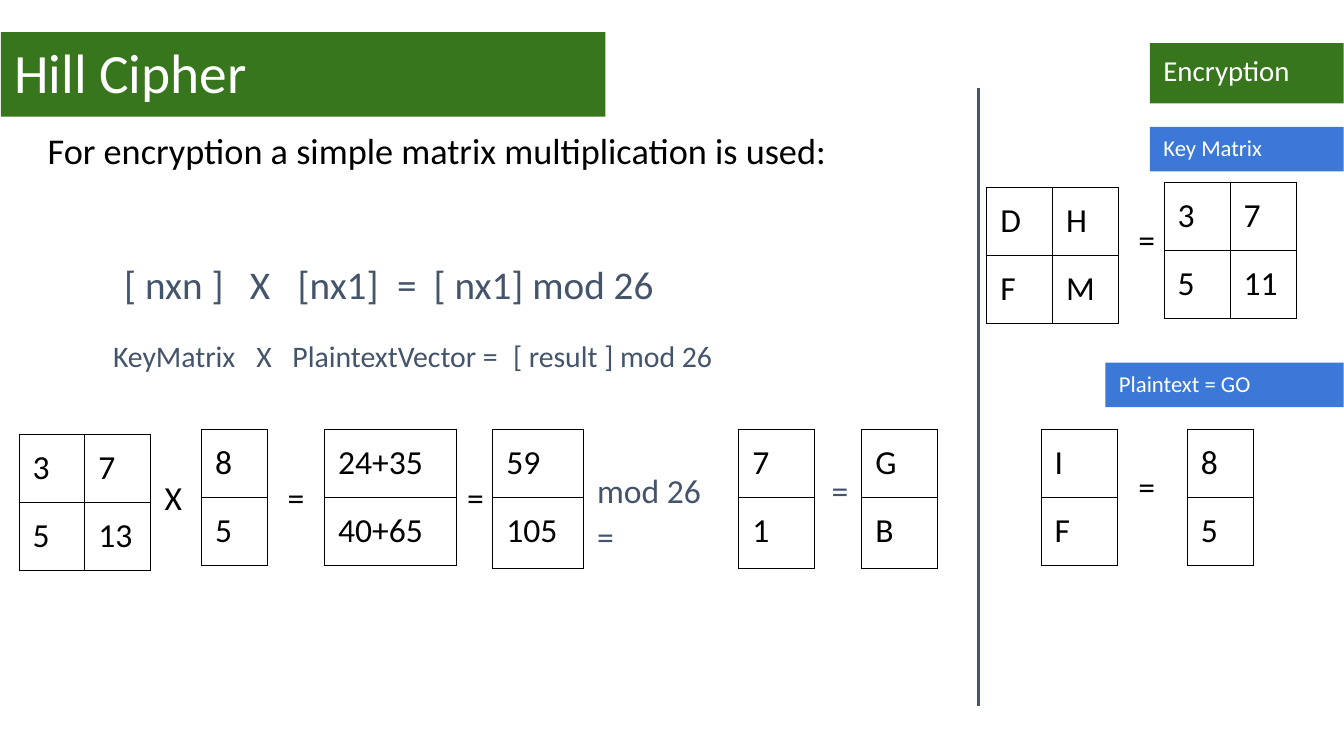
from lxml import etree
from pptx import Presentation
from pptx.dml.color import RGBColor
from pptx.enum.shapes import MSO_CONNECTOR, MSO_SHAPE
from pptx.enum.text import MSO_ANCHOR, MSO_AUTO_SIZE, PP_ALIGN
from pptx.oxml.ns import qn
from pptx.util import Cm, Pt

RECT = MSO_SHAPE.RECTANGLE
LINE = MSO_CONNECTOR.STRAIGHT
TOP, MIDDLE = MSO_ANCHOR.TOP, MSO_ANCHOR.MIDDLE
LEFT = PP_ALIGN.LEFT
FIXED = MSO_AUTO_SIZE.NONE

FONT = "Calibri"
PAD = Cm(0.34)
ROW = 1.7
HEX = {"green": "38761D", "blue": "3C78D8", "slate": "44546A",
       "black": "000000", "white": "FFFFFF"}


def color(name):
    return RGBColor.from_string(HEX[name])


def write(frame, text, size, ink, lead=1.0, after=0):
    """Set the text of a frame or cell and format its paragraphs and runs."""
    frame.text = text
    for para in frame.paragraphs:
        para.alignment = LEFT
        para.line_spacing = lead
        para.space_before, para.space_after = Pt(0), Pt(after)
        for run in para.runs:
            run.font.name, run.font.size = FONT, Pt(size)
            run.font.color.rgb = color(ink)


def inset(item):
    """Give a frame or cell the common inner margin."""
    item.margin_left = item.margin_right = PAD
    item.margin_top = item.margin_bottom = PAD


def fit(frame, anchor=TOP):
    inset(frame)
    frame.word_wrap = True
    frame.auto_size = FIXED
    frame.vertical_anchor = anchor


def place(shape, x, y, w, h):
    shape.left, shape.top = Cm(x), Cm(y)
    shape.width, shape.height = Cm(w), Cm(h)


def paint(shape, fill):
    shape.fill.solid()
    shape.fill.fore_color.rgb = color(fill)


def banner(slide, text, box, fill, size, anchor):
    shape = slide.shapes.add_shape(RECT, *map(Cm, box))
    shape.shadow.inherit = False
    shape.line.fill.background()
    paint(shape, fill)
    fit(shape.text_frame, anchor)
    write(shape.text_frame, text, size, "white", 0.9)


def label(slide, text, box, size=24, ink="black", lead=1.0, after=0):
    frame = slide.shapes.add_textbox(*map(Cm, box)).text_frame
    fit(frame)
    write(frame, text, size, ink, lead, after)
    return frame


def formula(slide, terms, stops, box, size):
    """Write the terms of a formula at tab stops given in centimetres."""
    frame = label(slide, "\t".join(terms), box, size, "slate", 1.15, 16)
    props = frame.paragraphs[0]._p.get_or_add_pPr()
    tabs = etree.SubElement(props, qn("a:tabLst"))
    for stop in stops:
        etree.SubElement(tabs, qn("a:tab"), pos=str(Cm(stop)), algn="l")


def border(cell):
    props = cell._tc.get_or_add_tcPr()
    for i, side in enumerate(("lnL", "lnR", "lnT", "lnB")):
        edge = etree.Element(qn("a:" + side), w=str(Pt(0.75)))
        fill = etree.SubElement(edge, qn("a:solidFill"))
        etree.SubElement(fill, qn("a:srgbClr"), val=HEX["black"])
        props.insert(i, edge)


def matrix(slide, rows, x, y, wide, last=ROW):
    """Draw a bordered matrix with columns of equal width."""
    cols = len(rows[0])
    frame = slide.shapes.add_table(len(rows), cols, Cm(x), Cm(y),
                                   Cm(wide * cols), Cm(ROW + last))
    table = frame.table
    table.first_row = table.horz_banding = False
    for col in table.columns:
        col.width = Cm(wide)
    for row, high in zip(table.rows, (ROW, last)):
        row.height = Cm(high)
    for r, row in enumerate(rows):
        for c, text in enumerate(row):
            cell = table.cell(r, c)
            inset(cell)
            cell.fill.background()
            write(cell.text_frame, text, 24, "black")
            border(cell)


def divider(slide, x, top, end):
    line = slide.shapes.add_connector(LINE, Cm(x), Cm(top), Cm(x), Cm(end))
    line.line.color.rgb = color("slate")
    line.line.width = Pt(1.5)
    etree.SubElement(line._element.spPr, qn("a:effectLst"))


def heading(slide):
    title, body = slide.placeholders
    place(title, 0.02, 0.81, 15.24, 2.13)
    paint(title, "green")
    fit(title.text_frame)
    write(title.text_frame, "Hill Cipher", 39.6, "white", 0.9)

    place(body, 0.86, 3.2, 21.62, 2.13)
    fit(body.text_frame)
    write(body.text_frame,
          "For encryption a simple matrix multiplication is used:",
          25.9, "black", 0.7, 16)
    props = body.text_frame.paragraphs[0]._p.get_or_add_pPr()
    props.set("marL", "0")
    props.set("indent", "0")
    etree.SubElement(props, qn("a:buNone"))


def main():
    deck = Presentation()
    deck.slide_width, deck.slide_height = Cm(33.87), Cm(19.05)
    slide = deck.slides.add_slide(deck.slide_layouts[1])
    heading(slide)

    for text, box, fill, size, anchor in (
            ("Encryption", (28.98, 1.09, 4.88, 1.52), "green", 20.6, TOP),
            ("Key Matrix", (28.98, 3.2, 4.88, 1.12), "blue", 16.2, MIDDLE),
            ("Plaintext = GO", (27.86, 9.14, 6, 1.12), "blue", 16.2, MIDDLE)):
        banner(slide, text, box, fill, size, anchor)
    divider(slide, 24.66, 2.21, 17.78)

    formula(slide, ("[ nxn ]", "X", "[nx1]", "=", "[ nx1] mod 26"),
            (3.17, 4.37, 6.88, 7.8), (2.79, 6.05, 15.54, 2.64), 28)
    formula(slide, ("KeyMatrix", "X", "PlaintextVector =",
                    "[ result ] mod 26"),
            (3.61, 4.52, 10.08), (2.51, 8.03, 18.92, 2.31), 21.3)

    for rows, x, y in (((("3", "7"), ("5", "13")), 0.48, 10.95),
                       ((("D", "H"), ("F", "M")), 24.87, 4.72),
                       ((("3", "7"), ("5", "11")), 29.34, 4.6)):
        matrix(slide, rows, x, y, 1.66)
    for pair, x, wide, last in (("8 5", 5.08, 1.66, ROW),
                                ("24+35 40+65", 8.18, 3.33, ROW),
                                ("59 105", 12.42, 2.29, 1.78),
                                ("7 1", 18.62, 1.91, 1.78),
                                ("G B", 21.72, 1.91, 1.78),
                                ("I F", 26.24, 1.91, ROW),
                                ("8 5", 29.92, 1.66, ROW)):
        matrix(slide, [[item] for item in pair.split()], x, 10.82, wide, last)

    for sign, x, y in (("X", 3.81, 11.68), ("=", 6.91, 11.68),
                       ("=", 11.43, 11.68), ("=", 28.35, 5.18),
                       ("=", 28.35, 11.4)):
        label(slide, sign, (x, y, 1.17, 1.7))
    for text, x, wide, high in (("mod 26\v=", 14.71, 4.06, 3.61),
                                ("=", 20.62, 1.17, 2.44)):
        label(slide, text, (x, 11.35, wide, high), 24, "slate", 1.15, 16)

    deck.save("out.pptx")


if __name__ == "__main__":
    main()
